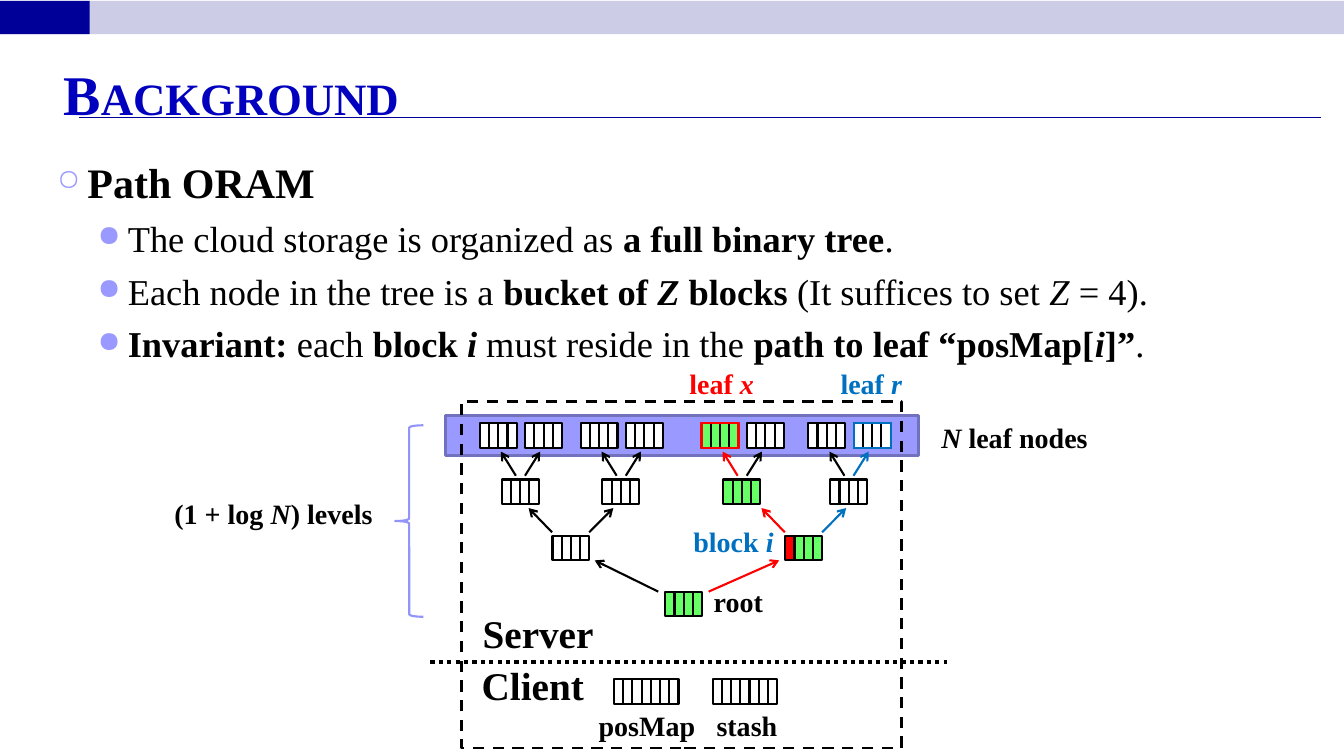
from lxml import etree
from pptx import Presentation
from pptx.dml.color import RGBColor
from pptx.enum.dml import MSO_LINE as DASH
from pptx.enum.shapes import MSO_CONNECTOR as CONN, MSO_SHAPE as SHAPE
from pptx.enum.text import MSO_ANCHOR as ANCHOR, PP_ALIGN as ALIGN
from pptx.oxml.ns import qn
from pptx.util import Pt

rgb = RGBColor.from_string
BLACK, WHITE, RED, BLUE, GREEN = "000000", "FFFFFF", "FF0000", "0070C0", "66FF66"
CELL_W, CELL_H = 6.6, 17.5
LEAF_Y, LEVEL_GAP = 302.4, 40.1
PAIR_GAP = 32.4


def add_text(p, text, size=20, color=BLACK, bold=False):
    # Asterisks switch bold, underscores switch italic
    for i, part in enumerate(text.split("*")):
        for j, chunk in enumerate(part.split("_")):
            if chunk:
                r = p.add_run()
                r.text = chunk
                r.font.name = "Times New Roman"
                r.font.size = Pt(size)
                r.font.color.rgb = rgb(color)
                r.font.bold = bold or i % 2 == 1
                r.font.italic = j % 2 == 1


def add_box(x, y, w, h, fill=None, line=None, width=1.5, kind=SHAPE.RECTANGLE):
    sp = s.shapes.add_shape(kind, Pt(x), Pt(y), Pt(w), Pt(h))
    sp.shadow.inherit = False
    if fill:
        sp.fill.solid()
        sp.fill.fore_color.rgb = rgb(fill)
    else:
        sp.fill.background()
    if line:
        sp.line.color.rgb = rgb(line)
        sp.line.width = Pt(width)
    else:
        sp.line.fill.background()
    return sp


prs = Presentation()
prs.slide_width, prs.slide_height = Pt(960), Pt(540)
s = prs.slides.add_slide(prs.slide_layouts[5])

add_box(0, 0.7, 960, 23.8, "CCCCE6")
add_box(0, 0.7, 64, 23.8, "000099")

title = s.shapes.title
title.left, title.top, title.width, title.height = Pt(38.2), Pt(37.4), Pt(882), Pt(53.3)
tf = title.text_frame
tf.vertical_anchor = ANCHOR.BOTTOM
tf.margin_bottom = 0
p = tf.paragraphs[0]
p.alignment = ALIGN.LEFT
add_text(p, "Background", size=40, color="0000BE", bold=True)
p.runs[0].font._element.set("cap", "small")

body = s.shapes.add_textbox(Pt(33.8), Pt(105.8), Pt(902), Pt(394.6))
tf = body.text_frame
tf.word_wrap = True
tf.margin_top = Pt(6)
bullets = [
    ("*Path ORAM*", 0),
    ("The cloud storage is organized as *a full binary tree*.", 1),
    ("Each node in the tree is a *bucket of _Z_ blocks *(It suffices to set _Z_ = 4).", 1),
    ("*Invariant:* each *block _i_* must reside in the* path to leaf “posMap[_i_]”*.", 1),
]
for i, (text, level) in enumerate(bullets):
    p = tf.add_paragraph() if i else tf.paragraphs[0]
    p.level = level
    p.space_before = Pt(6.5 if level else 0)
    add_text(p, text, size=26 if level else 30)
    pPr = p._p.get_or_add_pPr()
    pPr.set("marL", str(Pt(50.4 if level else 21.6)))
    pPr.set("indent", str(Pt(-21.6)))
    clr = etree.SubElement(pPr, qn("a:buClr"))
    etree.SubElement(clr, qn("a:srgbClr")).set("val", "9999FF")
    etree.SubElement(pPr, qn("a:buSzPct")).set("val", "80000" if level else "70000")
    etree.SubElement(pPr, qn("a:buChar")).set("char", "●" if level else "○")

add_box(318.2, 296.6, 337.7, 28.8, "9999FF", "7171BD", 2)

plain, on_path = [WHITE] * 4, [GREEN] * 4
pairs = [342.7, 414.7, 501.1, 577.4]
inner = [394.6, 560.9]
buckets = [(475.2, LEAF_Y + 3 * LEVEL_GAP, on_path)]
lines = [
    (56.2, 84.2, 943.9, 84.2, "000099", 0.75, None, False),
    (307.4, 473, 676.1, 473, BLACK, 3, DASH.ROUND_DOT, False),
    (470.2, 422.6, 424.8, 400.3, BLACK, 1.5, None, True),
    (506.2, 422.6, 556.6, 400.3, RED, 1.5, None, True),
]
for i, x in enumerate(pairs):
    fills = on_path if i == 2 else plain
    buckets += [(x, LEAF_Y, fills), (x + PAIR_GAP, LEAF_Y, plain),
                (x + 15.6, LEAF_Y + LEVEL_GAP, fills)]
    lines += [(x + 25.8, 339.8, x + 15.1, 322.6, RED if i == 2 else BLACK, 1.5, None, True),
              (x + 32.3, 339.8, x + 43.1, 322.6, BLUE if i == 3 else BLACK, 1.5, None, True)]
for x, fills, left, right in zip(inner, [plain, [RED] + on_path[1:]], [BLACK, RED], [BLACK, BLUE]):
    buckets.append((x, LEAF_Y + 2 * LEVEL_GAP, fills))
    lines += [(x - 0.3, 380.2, x - 17, 362.9, left, 1.5, None, True),
              (x + 26.3, 380.2, x + 43.5, 362.9, right, 1.5, None, True)]
for x in (438.5, 509):
    buckets.append((x, 485.3, [WHITE] * 7))

for x, y, fills in buckets:
    for i, fill in enumerate(fills):
        add_box(x + i * CELL_W, y, CELL_W, CELL_H, fill, BLACK)

for x1, y1, x2, y2, color, width, dash, arrow in lines:
    c = s.shapes.add_connector(CONN.STRAIGHT, Pt(x1), Pt(y1), Pt(x2), Pt(y2))
    c.line.color.rgb = rgb(color)
    c.line.width = Pt(width)
    if dash:
        c.line.dash_style = dash
    if arrow:
        etree.SubElement(c.line._get_or_add_ln(), qn("a:tailEnd")).set("type", "arrow")
    etree.SubElement(c._element.spPr, qn("a:effectLst"))

frame = add_box(329.8, 286.6, 313.9, 247.7, line=BLACK, width=2)
frame.line.dash_style = DASH.DASH
add_box(282.2, 303.8, 20.2, 136.8, line="9393FC", kind=SHAPE.LEFT_BRACE)
add_box(pairs[2], LEAF_Y, 4 * CELL_W, CELL_H, line=RED)
add_box(pairs[3] + PAIR_GAP, LEAF_Y, 4 * CELL_W, CELL_H, line=BLUE)

labels = [
    ("Server", 337.7, 432, 94.3, 28, BLACK),
    ("Client", 337, 468.7, 88.6, 28, BLACK),
    ("posMap", 420.5, 502.6, 84.2, 20, BLACK),
    ("stash", 504.7, 502.6, 58.3, 20, BLACK),
    ("_N_ leaf nodes", 665.3, 296.6, 120.2, 20, BLACK),
    ("(1 + log _N_) levels", 117.4, 351.4, 157, 20, BLACK),
    ("root", 502.6, 414, 49.7, 20, BLACK),
    ("block _i_", 488.2, 370.8, 72, 20, BLUE),
    ("leaf_ x_", 485.3, 258, 61.2, 20, RED),
    ("leaf_ r_", 593.3, 258, 59, 20, BLUE),
]
for text, x, y, w, size, color in labels:
    tb = s.shapes.add_textbox(Pt(x), Pt(y), Pt(w), Pt(41 if size == 28 else 31.5))
    tb.text_frame.word_wrap = False
    add_text(tb.text_frame.paragraphs[0], text, size=size, color=color, bold=True)

prs.save("out.pptx")
